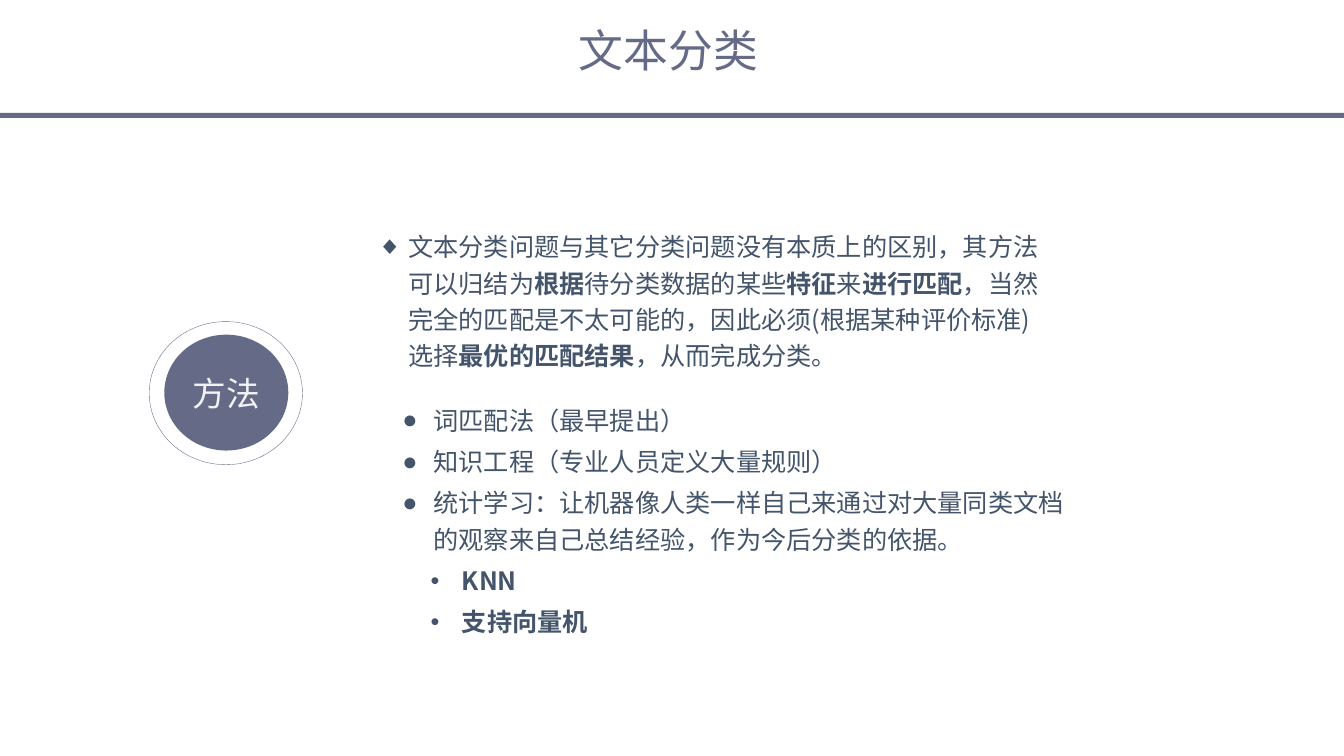
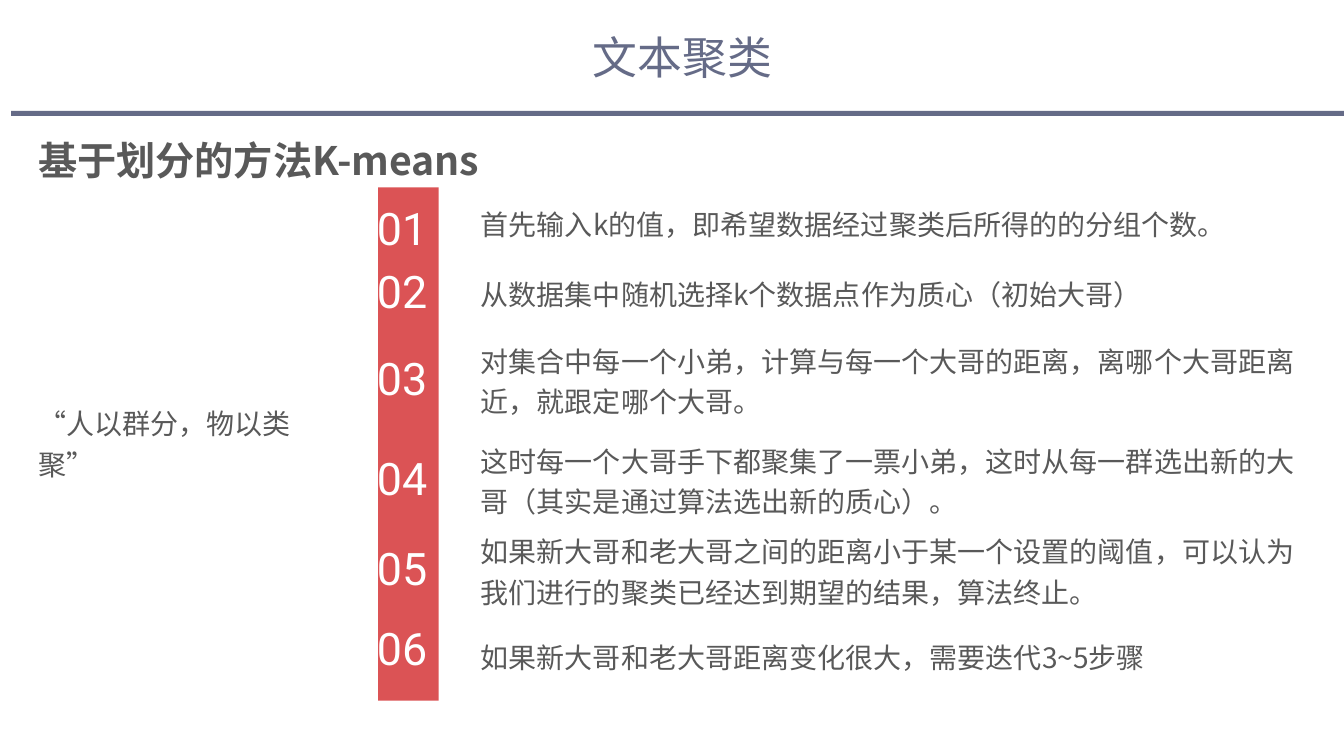
from dataclasses import dataclass

from lxml import etree
from pptx import Presentation
from pptx.dml.color import RGBColor
from pptx.enum.shapes import MSO_SHAPE
from pptx.enum.text import MSO_ANCHOR, MSO_AUTO_SIZE, PP_ALIGN
from pptx.oxml.ns import qn
from pptx.util import Inches, Pt

RECTANGLE, OVAL = MSO_SHAPE.RECTANGLE, MSO_SHAPE.OVAL
MIDDLE, CENTER = MSO_ANCHOR.MIDDLE, PP_ALIGN.CENTER
GROW = MSO_AUTO_SIZE.SHAPE_TO_FIT_TEXT

SLATE, NAVY, RED = "656B87", "44546A", "DB5355"
GREY, PALE, WHITE = "595959", "F2F2F2", "FFFFFF"
CJK, SANS, DIGITS, LATIN = "Noto Sans CJK SC", "Open Sans", "Roboto", "Calibri"
SLIDE_WIDTH, SLIDE_HEIGHT = 13.33, 7.5
TITLE_ONLY = 5


@dataclass
class Box:
    left: float
    top: float
    width: float
    height: float

    def lengths(self) -> tuple:
        return tuple(Inches(v) for v in (self.left, self.top, self.width, self.height))


@dataclass
class Style:
    size: float
    color: str
    font: str = CJK
    bold: bool = False


@dataclass
class Run:
    text: str
    bold: bool = False
    font: str = CJK


@dataclass
class Bullet:
    symbol: str
    indent: float
    runs: list[Run]


@dataclass
class Step:
    number_top: float
    text_top: float
    height: float
    text: str


def rgb(color: str) -> RGBColor:
    return RGBColor.from_string(color)


def add_run(paragraph, text: str, style: Style) -> None:
    run = paragraph.add_run()
    run.text = text
    font = run.font
    font.size, font.bold, font.name = Pt(style.size), style.bold, style.font
    font.color.rgb = rgb(style.color)
    # East Asian glyphs need their own typeface entry
    latin = font._element.find(qn("a:latin"))
    east_asian = etree.Element(qn("a:ea"), typeface=style.font)
    latin.addnext(east_asian)


def add_shape(slide, kind, box: Box, fill: str | None = None, line: str | None = None):
    shape = slide.shapes.add_shape(kind, *box.lengths())
    shape.shadow.inherit = False
    if fill:
        shape.fill.solid()
        shape.fill.fore_color.rgb = rgb(fill)
    else:
        shape.fill.background()
    if line:
        shape.line.color.rgb = rgb(line)
        shape.line.width = Pt(0.25)
    else:
        shape.line.fill.background()
    return shape


def add_frame(slide, box: Box):
    frame = slide.shapes.add_textbox(*box.lengths()).text_frame
    frame.word_wrap = True
    frame.auto_size = GROW
    return frame


def add_text(slide, box: Box, text: str, style: Style, spacing: float = 1.0) -> None:
    paragraph = add_frame(slide, box).paragraphs[0]
    paragraph.line_spacing = spacing
    add_run(paragraph, text, style)


def add_bullets(slide, box: Box, bullets: list[Bullet]) -> None:
    frame = add_frame(slide, box)
    frame.margin_left = frame.margin_right = Inches(0.12)
    frame.margin_top = frame.margin_bottom = Inches(0.06)
    for index, bullet in enumerate(bullets):
        paragraph = frame.paragraphs[0] if index == 0 else frame.add_paragraph()
        properties = paragraph._p.get_or_add_pPr()
        properties.set("marL", str(Inches(bullet.indent)))
        properties.set("indent", str(Inches(-0.31)))
        etree.SubElement(properties, qn("a:buFont"), typeface="Arial")
        etree.SubElement(properties, qn("a:buChar"), char=bullet.symbol)
        paragraph.line_spacing = 1.2
        if index:
            paragraph.space_before = Pt(3.6)
        for run in bullet.runs:
            add_run(paragraph, run.text, Style(18, NAVY, run.font, run.bold))


def add_titled_slide(deck, title: str, title_box: Box, rule_left: float, rule_top: float):
    slide = deck.slides.add_slide(deck.slide_layouts[TITLE_ONLY])
    add_shape(slide, RECTANGLE, Box(rule_left, rule_top, SLIDE_WIDTH, 0.05), SLATE)
    heading = slide.shapes.title
    heading.left, heading.top, heading.width, heading.height = title_box.lengths()
    frame = heading.text_frame
    frame.margin_left = frame.margin_right = frame.margin_top = frame.margin_bottom = 0
    frame.vertical_anchor = MIDDLE
    frame.word_wrap = True
    frame.auto_size = GROW
    frame.paragraphs[0].alignment = CENTER
    add_run(frame.paragraphs[0], title, Style(32, SLATE))
    return slide


METHOD_SUMMARY = [
    Bullet("◆", 0.31, [
        Run("文本分类问题与其它分类问题没有本质上的区别，其方法可以归结为"),
        Run("根据", True),
        Run("待分类数据的某些"),
        Run("特征", True),
        Run("来"),
        Run("进行匹配", True),
        Run("，当然完全的匹配是不太可能的，因此必须(根据某种评价标准)选择"),
        Run("最优的匹配结果", True),
        Run("，从而完成分类。"),
    ]),
]
METHOD_LIST = [
    Bullet("●", 0.31, [Run("词匹配法（最早提出）")]),
    Bullet("●", 0.31, [Run("知识工程（专业人员定义大量规则）")]),
    Bullet("●", 0.31, [
        Run("统计学习："),
        Run("让机器像人类一样自己来通过对大量同类文档的观察来自己总结经验，作为今后分类的依据。", font=SANS),
    ]),
    Bullet("•", 0.59, [Run("KNN", True)]),
    Bullet("•", 0.59, [Run("支持向量机", True)]),
]
KMEANS_STEPS = [
    Step(1.94, 1.94, 0.5, "首先输入k的值，即希望数据经过聚类后所得的的分组个数。"),
    Step(2.57, 2.64, 0.5, "从数据集中随机选择k个数据点作为质心（初始大哥）"),
    Step(3.43, 3.3, 0.9, "对集合中每一个小弟，计算与每一个大哥的距离，离哪个大哥距离近，就跟定哪个大哥。"),
    Step(4.42, 4.29, 0.9, "这时每一个大哥手下都聚集了一票小弟，这时从每一群选出新的大哥（其实是通过算法选出新的质心）。"),
    Step(5.32, 5.19, 0.9, "如果新大哥和老大哥之间的距离小于某一个设置的阈值，可以认为我们进行的聚类已经达到期望的结果，算法终止。"),
    Step(6.11, 6.24, 0.5, "如果新大哥和老大哥距离变化很大，需要迭代3~5步骤"),
]


def build_classification(deck) -> None:
    slide = add_titled_slide(deck, "文本分类", Box(4.85, 0.22, 3.56, 0.54), 0, 1.12)
    add_bullets(slide, Box(3.62, 2.18, 6.89, 1.54), METHOD_SUMMARY)
    # Method badge with its outer ring
    badge = add_shape(slide, OVAL, Box(1.63, 3.32, 1.23, 1.15), SLATE).text_frame
    badge.vertical_anchor = MIDDLE
    badge.paragraphs[0].alignment = CENTER
    add_run(badge.paragraphs[0], "方法", Style(24, PALE, LATIN))
    add_shape(slide, OVAL, Box(1.48, 3.19, 1.52, 1.42), line=SLATE)
    add_bullets(slide, Box(3.87, 3.9, 6.89, 2.54), METHOD_LIST)


def build_clustering(deck) -> None:
    slide = add_titled_slide(deck, "文本聚类", Box(4.99, 0.3, 3.56, 0.53), 0.11, 1.1)
    add_shape(slide, RECTANGLE, Box(3.75, 1.86, 0.6, 5.09), RED)
    add_text(slide, Box(0.28, 1.3, 4.9, 0.57), "基于划分的方法K-means", Style(28, GREY, bold=True))
    # Numbered steps beside the red band
    body = Style(20, GREY)
    for number, step in enumerate(KMEANS_STEPS, start=1):
        add_text(slide, Box(3.64, step.number_top, 0.81, 0.63), f"{number:02}", Style(32, WHITE, DIGITS))
        add_text(slide, Box(4.67, step.text_top, 8.35, step.height), step.text, body, 1.2)
    add_text(slide, Box(0.28, 3.92, 3.11, 0.5), "“人以群分，物以类聚”", body, 1.2)


def main() -> None:
    deck = Presentation()
    deck.slide_width, deck.slide_height = Inches(SLIDE_WIDTH), Inches(SLIDE_HEIGHT)
    build_classification(deck)
    build_clustering(deck)
    deck.save("out.pptx")


if __name__ == "__main__":
    main()
